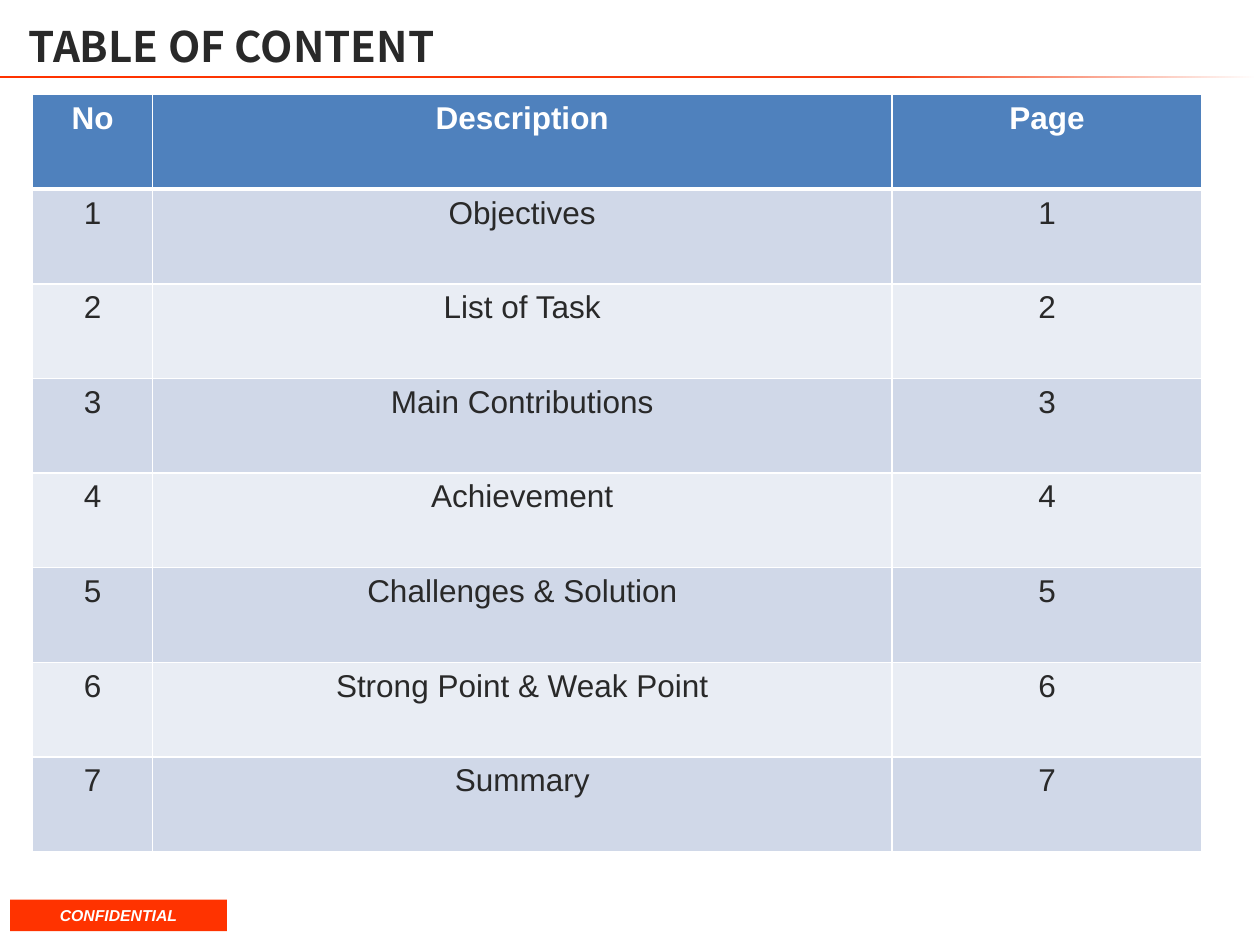
from lxml import etree
from pptx import Presentation
from pptx.dml.color import RGBColor
from pptx.enum.shapes import MSO_SHAPE
from pptx.enum.text import MSO_ANCHOR, PP_ALIGN
from pptx.oxml import parse_xml
from pptx.oxml.ns import nsdecls, qn
from pptx.util import Inches, Pt

RECTANGLE = MSO_SHAPE.RECTANGLE
CENTER = PP_ALIGN.CENTER
MIDDLE = MSO_ANCHOR.MIDDLE
ORANGE, WHITE, DARK = "FF3300", "FFFFFF", "292929"
HEADER_BLUE, BANDS = "4F81BD", ("E9EDF4", "D0D8E8")


def color(value):
    return RGBColor.from_string(value)


def style(para, size, ink, name="Arial", bold=False, italic=False):
    font = para.font
    font.name, font.size, font.bold, font.italic = name, Pt(size), bold, italic
    font.color.rgb = color(ink)


deck = Presentation()
deck.slide_width, deck.slide_height = Inches(10), Inches(7.5)
page = deck.slides.add_slide(deck.slide_layouts[6])

# Fading rule under the title
rule = page.shapes.add_shape(RECTANGLE, 0, Inches(0.6), Inches(9.98), Inches(0.02))
rule.shadow.inherit = False
rule.line.fill.background()
rule.fill.gradient()
rule.fill.gradient_angle = 0
stops = rule.element.spPr.find(qn("a:gradFill")).find(qn("a:gsLst"))
for stop in list(stops):
    stops.remove(stop)
for percent, shade in ((0, ORANGE), (71, "F5390A"), (100, WHITE)):
    stop = etree.SubElement(stops, qn("a:gs"), pos=str(percent * 1000))
    etree.SubElement(stop, qn("a:srgbClr"), val=shade)

# Confidential label
label = page.shapes.add_shape(RECTANGLE, Inches(0.08), Inches(7.14), Inches(1.72), Inches(0.25))
label.shadow.inherit = False
label.fill.solid()
label.fill.fore_color.rgb = color(ORANGE)
label.line.fill.background()
label.text_frame.text = "CONFIDENTIAL"
para = label.text_frame.paragraphs[0]
para.alignment = CENTER
style(para, 9, WHITE, bold=True, italic=True)

# Title
title = page.shapes.add_textbox(Inches(0.13), Inches(0.13), Inches(9.74), Inches(0.46))
title.text_frame.word_wrap = True
title.text_frame.vertical_anchor = MIDDLE
title.text_frame.text = "TABLE OF CONTENT"
style(title.text_frame.paragraphs[0], 24, DARK, name="Noto Sans CJK JP", bold=True)

# Contents table: each topic is numbered, and its page has the same number
topics = ["Objectives", "List of Task", "Main Contributions", "Achievement",
          "Challenges & Solution", "Strong Point & Weak Point", "Summary"]
rows = [("No", "Description", "Page")]
rows += [(str(number), topic, str(number)) for number, topic in enumerate(topics, 1)]
table = page.shapes.add_table(len(rows), 3, Inches(0.26), Inches(0.75),
                              Inches(9.27), Inches(6.01)).table
for column, width in zip(table.columns, (0.95, 5.87, 2.46)):
    column.width = Inches(width)

for row_index, row in enumerate(rows):
    header = row_index == 0
    for column_index, text in enumerate(row):
        cell = table.cell(row_index, column_index)
        cell.text = text
        para = cell.text_frame.paragraphs[0]
        para.alignment = CENTER
        style(para, 18, WHITE if header else DARK, bold=header)

        # White borders, thicker between header and body
        properties = cell._tc.get_or_add_tcPr()
        for side in "LRTB":
            thick = (row_index, side) in ((0, "B"), (1, "T"))
            properties.append(parse_xml(
                f'<a:ln{side} {nsdecls("a")} w="{Pt(3 if thick else 1)}"><a:solidFill>'
                f'<a:srgbClr val="{WHITE}"/></a:solidFill></a:ln{side}>'))
        cell.fill.solid()
        cell.fill.fore_color.rgb = color(HEADER_BLUE if header else BANDS[row_index % 2])

deck.save("out.pptx")
